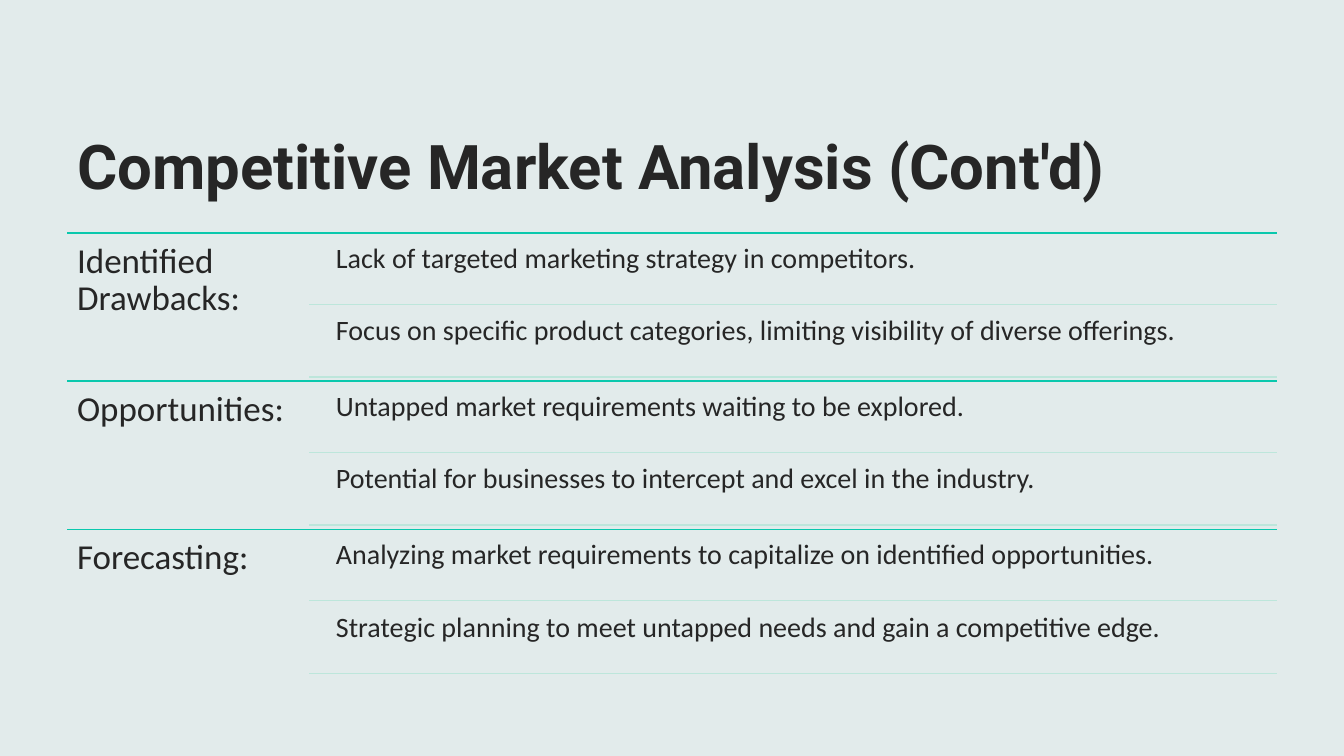
from lxml import etree
from pptx import Presentation
from pptx.dml.color import RGBColor
from pptx.enum.shapes import MSO_CONNECTOR, MSO_SHAPE
from pptx.enum.text import MSO_ANCHOR
from pptx.oxml.ns import qn
from pptx.util import Inches, Pt

STRAIGHT = MSO_CONNECTOR.STRAIGHT
RECTANGLE = MSO_SHAPE.RECTANGLE
TOP, BOTTOM = MSO_ANCHOR.TOP, MSO_ANCHOR.BOTTOM

COLORS = {
    "background": "E9F3F3",
    "veil": "AEAEAE",
    "text": "262626",
    "section": "0AC8AD",
    "entry": "BDE6DB",
}

SECTIONS = [
    ("Identified Drawbacks:", [
        "Lack of targeted marketing strategy in competitors.",
        "Focus on specific product categories, limiting visibility of diverse offerings.",
    ]),
    ("Opportunities:", [
        "Untapped market requirements waiting to be explored.",
        "Potential for businesses to intercept and excel in the industry.",
    ]),
    ("Forecasting:", [
        "Analyzing market requirements to capitalize on identified opportunities.",
        "Strategic planning to meet untapped needs and gain a competitive edge.",
    ]),
]

# Shares of the slide, in percent of its width or height
LEFT, RIGHT = 5, 95
LABEL_WIDTH = 18
ENTRY_LEFT = 24.4
SECTIONS_TOP, SECTION_HEIGHT = 30.8, 19.6
ENTRY_OFFSET, ENTRY_PITCH, ENTRY_HEIGHT = 0.4, 9.6, 9.07


class SlideBuilder:
    """Draws styled elements at places given in percent of the slide's size."""

    def __init__(self, deck):
        self.deck = deck
        self.page = deck.slides.add_slide(deck.slide_layouts[6])

    def across(self, share):
        return round(self.deck.slide_width * share / 100)

    def down(self, share):
        return round(self.deck.slide_height * share / 100)

    def color(self, name):
        return RGBColor.from_string(COLORS[name])

    def background(self):
        fill = self.page.background.fill
        fill.solid()
        fill.fore_color.rgb = self.color("background")

    def veil(self, opacity):
        """Cover the slide with a see-through tint; opacity is in percent."""
        shape = self.page.shapes.add_shape(
            RECTANGLE, 0, 0, self.deck.slide_width, self.deck.slide_height)
        shape.shadow.inherit = False
        shape.line.fill.background()
        shape.fill.solid()
        shape.fill.fore_color.rgb = self.color("veil")
        tint = shape._element.spPr.find(qn("a:solidFill"))[0]
        etree.SubElement(tint, qn("a:alpha"), val=str(opacity * 1000))

    def text(self, words, left, top, width, height, size, inset,
             font="Calibri", bold=False, anchor=TOP):
        box = self.page.shapes.add_textbox(
            self.across(left), self.down(top), self.across(width), self.down(height))
        frame = box.text_frame
        frame.word_wrap = True
        frame.vertical_anchor = anchor
        frame.margin_left = frame.margin_right = Inches(inset)
        frame.margin_top = frame.margin_bottom = Inches(min(inset, 0.05) if bold else inset)
        para = frame.paragraphs[0]
        para.line_spacing = 0.9
        span = para.add_run()
        span.text = words
        span.font.name = font
        span.font.size = Pt(size)
        span.font.bold = bold
        span.font.color.rgb = self.color("text")

    def rule(self, left, top, color):
        line = self.page.shapes.add_connector(
            STRAIGHT, self.across(left), self.down(top), self.across(RIGHT), self.down(top))
        line.line.color.rgb = self.color(color)
        line.line.width = Pt(1)
        etree.SubElement(line._element.spPr, qn("a:effectLst"))

    def title(self, words):
        self.text(words, LEFT, 8.13, RIGHT - LEFT, 19.33, 44, 0.1,
                  font="Roboto", bold=True, anchor=BOTTOM)

    def section(self, label, entries, top):
        self.rule(LEFT, top, "section")
        self.text(label, LEFT, top, LABEL_WIDTH, SECTION_HEIGHT, 25, 0.1)
        for index, entry in enumerate(entries):
            entry_top = top + ENTRY_OFFSET + index * ENTRY_PITCH
            self.text(entry, ENTRY_LEFT, entry_top, RIGHT - ENTRY_LEFT, ENTRY_HEIGHT, 20, 0.08)
            self.rule(LEFT + LABEL_WIDTH, entry_top + ENTRY_HEIGHT, "entry")


def main():
    deck = Presentation()
    deck.slide_width, deck.slide_height = Inches(13.33), Inches(7.5)
    builder = SlideBuilder(deck)
    builder.background()
    builder.veil(10)
    builder.title("Competitive Market Analysis (Cont'd)")
    for index, (label, entries) in enumerate(SECTIONS):
        builder.section(label, entries, SECTIONS_TOP + index * SECTION_HEIGHT)
    deck.save("out.pptx")


if __name__ == "__main__":
    main()
